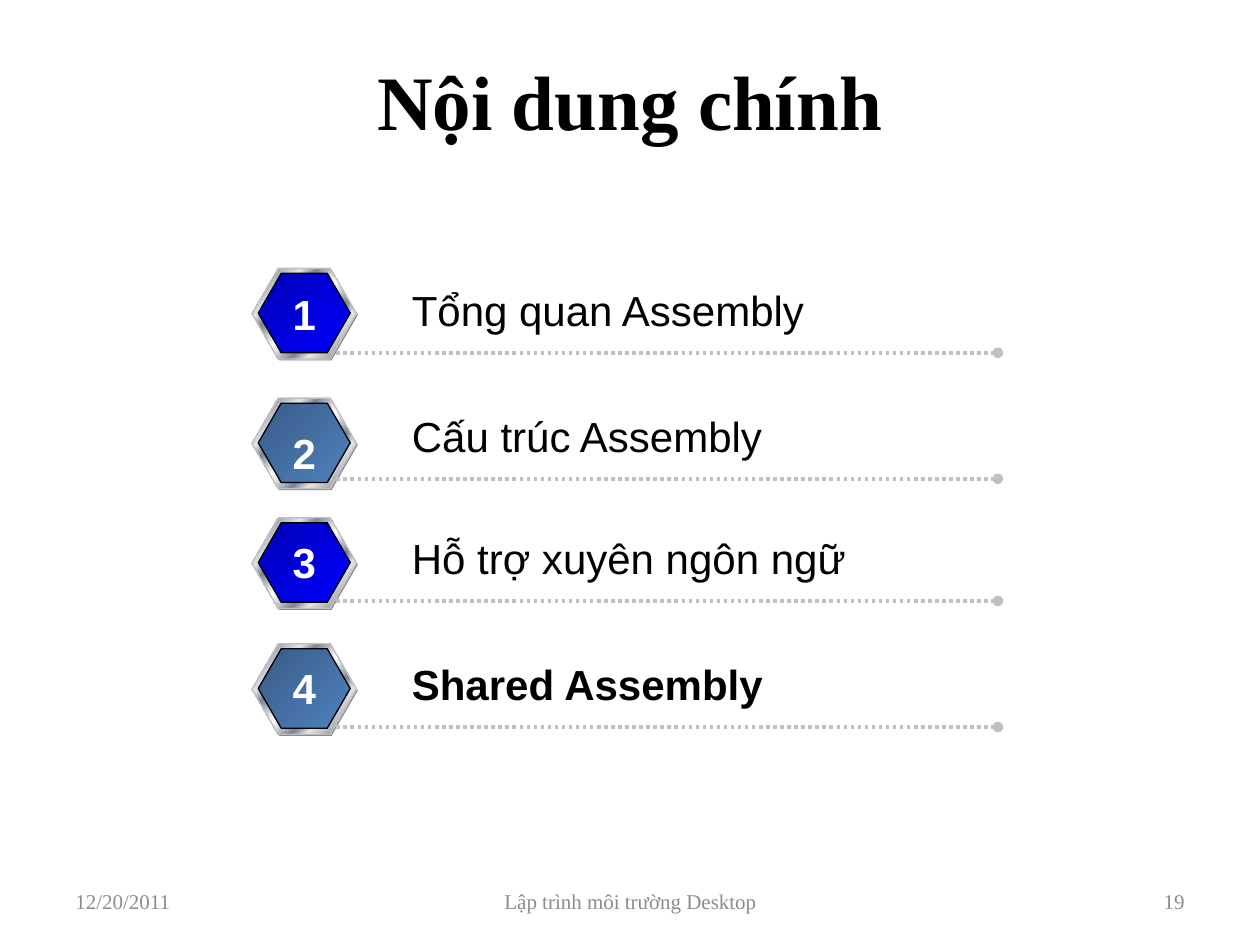
from lxml import etree
from pptx import Presentation
from pptx.dml.color import RGBColor
from pptx.enum.dml import MSO_LINE
from pptx.enum.shapes import MSO_CONNECTOR, MSO_SHAPE
from pptx.enum.text import MSO_ANCHOR, MSO_AUTO_SIZE, PP_ALIGN
from pptx.oxml.ns import qn
from pptx.util import Inches, Pt

HEX = MSO_SHAPE.HEXAGON
STRAIGHT = MSO_CONNECTOR.STRAIGHT
DOTS = MSO_LINE.ROUND_DOT
MIDDLE = MSO_ANCHOR.MIDDLE
GROW = MSO_AUTO_SIZE.SHAPE_TO_FIT_TEXT
LEFT, CENTER, RIGHT = PP_ALIGN.LEFT, PP_ALIGN.CENTER, PP_ALIGN.RIGHT

COLORS = {
    "black": "000000", "white": "FFFFFF", "muted": "8C8C8C",
    "shade": "808080", "rule": "C0C0C0", "light": "E6E6E6",
    "steel": "7D8496", "navy": "0000B6", "blue": "0000FF",
    "slate": "395C87", "sky": "4F81BD",
}
METAL = [(0, "light"), (7, "steel"), (26, "light"), (34, "steel"),
         (46, "light"), (50, "white"), (54, "light"), (66, "steel"),
         (74, "light"), (93, "steel"), (100, "light")]
FACES = [[(0, "navy"), (100, "blue")], [(0, "slate"), (100, "sky")]]

# text, label width, bold, badge top, rule height, digit top
ROWS = [
    ("Tổng quan Assembly", 3.35, False, 2.13, 2.8, 2.24),
    ("Cấu trúc Assembly", 3.01, False, 3.16, 3.8, 3.34),
    ("Hỗ trợ xuyên ngôn ngữ", 3.68, False, 4.11, 4.77, 4.21),
    ("Shared Assembly", 3.02, True, 5.11, 5.77, 5.21),
]
FOOT = [
    ("12/20/2011", 0.5, 2.33, LEFT),
    ("Lập trình môi trường Desktop", 3.42, 3.17, CENTER),
    ("19", 7.17, 2.33, RIGHT),
]


def rgb(name):
    """Return the named colour."""
    return RGBColor.from_string(COLORS[name])


def style(para, face, size, color, bold=False, align=LEFT):
    """Format one paragraph."""
    para.alignment = align
    font = para.font
    font.name, font.size, font.bold = face, Pt(size), bold
    font.color.rgb = rgb(color)


def add_text(slide, text, box, face, size, color, bold=False, align=LEFT):
    """Add a one-line text box and return its frame."""
    frame = slide.shapes.add_textbox(*map(Inches, box)).text_frame
    frame.text = text
    style(frame.paragraphs[0], face, size, color, bold, align)
    return frame


def add_tag(slide, text, box, color, bold, align):
    """Add an unwrapped text that grows with its content."""
    frame = add_text(slide, text, box, "Arial", 24, color, bold, align)
    frame.word_wrap = False
    frame.auto_size = GROW


def blend(shape, stops):
    """Fill a shape with a gradient from top left to bottom right."""
    shape.fill.gradient()
    shape.fill.gradient_angle = 315
    items = shape._element.spPr.find(qn("a:gradFill")).find(qn("a:gsLst"))
    for item in list(items):
        items.remove(item)
    for place, name in stops:
        stop = etree.SubElement(items, qn("a:gs"), pos=str(place * 1000))
        etree.SubElement(stop, qn("a:srgbClr"), val=COLORS[name])


def add_hex(group, box, stops=None, edge=None):
    """Add a hexagon with a gradient and an edge, or a plain shade."""
    shape = group.shapes.add_shape(HEX, *map(Inches, box))
    shape.shadow.inherit = False
    shape.adjustments[0] = 0.289
    if stops:
        blend(shape, stops)
        shape.line.color.rgb = rgb(edge)
        shape.line.width = Pt(0.75)
    else:
        shape.fill.solid()
        shape.fill.fore_color.rgb = rgb("shade")
        shape.line.fill.background()


def add_badge(slide, top, face):
    """Add a metal-rimmed hexagon badge."""
    group = slide.shapes.add_group_shape()
    add_hex(group, (2.01, top + 0.01, 0.83, 0.72))
    add_hex(group, (2, top, 0.83, 0.72), METAL, "rule")
    add_hex(group, (2.05, top + 0.04, 0.73, 0.63), face, "black")


def add_rule(slide, y):
    """Add a dotted line that ends in a dot."""
    ends = map(Inches, (2.67, y, 7.92, y))
    rule = slide.shapes.add_connector(STRAIGHT, *ends)
    rule.line.color.rgb = rgb("rule")
    rule.line.width = Pt(2)
    rule.line.dash_style = DOTS
    props = rule._element.spPr
    etree.SubElement(props.find(qn("a:ln")), qn("a:tailEnd"), type="oval")
    etree.SubElement(props, qn("a:effectLst"))


def add_title(slide, text):
    """Place and format the slide title."""
    title = slide.shapes.title
    title.left, title.top = Inches(0.5), Inches(0.17)
    title.width, title.height = Inches(9), Inches(1.25)
    frame = title.text_frame
    frame.text = text
    frame.vertical_anchor = MIDDLE
    style(frame.paragraphs[0], "Times New Roman", 44, "black", True, CENTER)


def main():
    """Build the agenda slide."""
    deck = Presentation()
    deck.slide_width, deck.slide_height = Inches(10), Inches(7.5)
    slide = deck.slides.add_slide(deck.slide_layouts[5])
    add_title(slide, "Nội dung chính")
    for text, left, width, align in FOOT:
        frame = add_text(slide, text, (left, 6.95, width, 0.4),
                         "Times New Roman", 12, "muted", align=align)
        frame.word_wrap = True
        frame.vertical_anchor = MIDDLE
    for i, (text, width, bold, top, y, digit) in enumerate(ROWS):
        add_badge(slide, top, FACES[i % 2])
        add_rule(slide, y)
        add_tag(slide, text, (3.17, y - 0.59, width, 0.5),
                "black", bold, LEFT)
        add_tag(slide, str(i + 1), (2.22, digit, 0.39, 0.5),
                "white", True, CENTER)
    deck.save("out.pptx")


if __name__ == "__main__":
    main()
